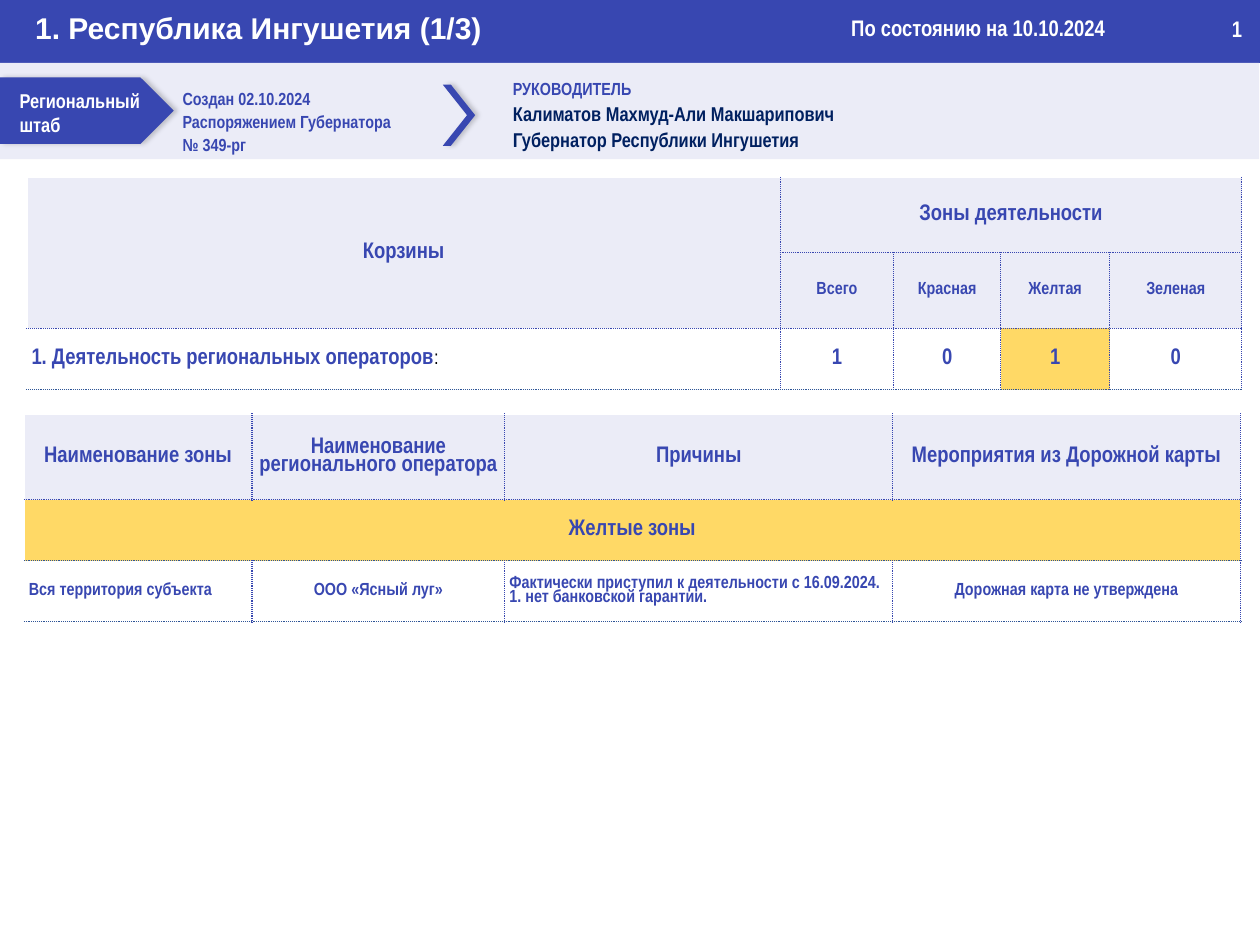
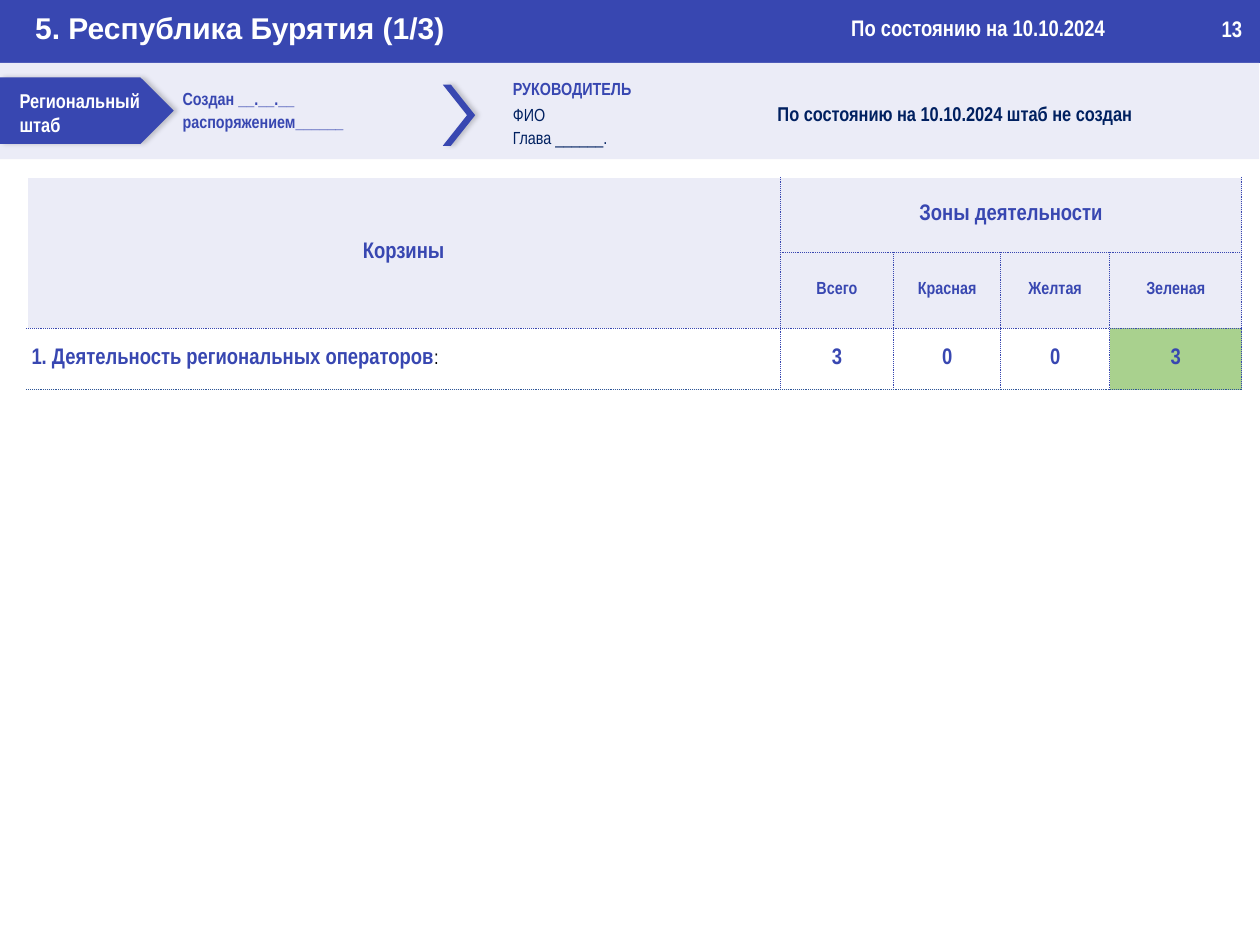
from dataclasses import dataclass

from lxml.etree import SubElement
from pptx import Presentation
from pptx.dml.color import RGBColor
from pptx.enum.shapes import MSO_SHAPE
from pptx.enum.text import MSO_ANCHOR, MSO_AUTO_SIZE, PP_ALIGN
from pptx.oxml.ns import qn
from pptx.util import Inches, Pt


@dataclass(frozen=True)
class Theme:
    main: str = "3847B1"
    pale: str = "EBECF7"
    navy: str = "002060"
    rule: str = "2F5597"
    white: str = "FFFFFF"
    black: str = "000000"
    yellow: str = "FFD966"
    green: str = "A9D18E"
    title_font: str = "Arial"
    font: str = "Arial Narrow"
    title: int = 24
    large: int = 18
    medium: int = 16
    small: int = 14
    line_spacing: float = 1.1
    cell_spacing: float = 0.85


T = Theme()


@dataclass
class Run:
    text: str
    size: int = T.small
    color: str = T.main
    bold: bool = True
    font: str = T.font


@dataclass
class Cell:
    paragraphs: list
    fill: str = T.white
    align: PP_ALIGN = PP_ALIGN.CENTER


def rgb(value):
    return RGBColor.from_string(value)


# Text

def write_text(tf, paragraphs, align=PP_ALIGN.LEFT, spacing=None, tab=None):
    """Fill a text frame; each paragraph is a list of runs."""
    for i, runs in enumerate(paragraphs):
        p = tf.add_paragraph() if i else tf.paragraphs[0]
        if tab:
            tabs = SubElement(p._p.get_or_add_pPr(), qn("a:tabLst"))
            SubElement(tabs, qn("a:tab"), pos=str(Inches(tab)), algn="l")
        p.alignment = align
        if spacing:
            p.line_spacing = spacing
        for item in runs:
            r = p.add_run()
            r.text = item.text
            r.font.name = item.font
            r.font.size = Pt(item.size)
            r.font.bold = item.bold
            r.font.color.rgb = rgb(item.color)


def add_text(slide, box, paragraphs, **style):
    sp = slide.shapes.add_textbox(*map(Inches, box))
    tf = sp.text_frame
    tf.word_wrap = True
    tf.auto_size = MSO_AUTO_SIZE.SHAPE_TO_FIT_TEXT
    write_text(tf, paragraphs, **style)


# Shapes

def add_block(slide, kind, box, fill, shadow=False):
    sp = slide.shapes.add_shape(kind, *map(Inches, box))
    sp.fill.solid()
    sp.fill.fore_color.rgb = rgb(fill)
    sp.line.fill.background()
    sp.shadow.inherit = False
    if shadow:
        effects = sp._element.spPr.find(qn("a:effectLst"))
        outer = SubElement(effects, qn("a:outerShdw"), blurRad=str(Pt(4)),
                           dist=str(Pt(3)), dir="0", rotWithShape="0")
        color = SubElement(outer, qn("a:srgbClr"), val=T.black)
        SubElement(color, qn("a:alpha"), val="20000")
    return sp


# Tables

def set_border(cell, side, color):
    ln = SubElement(cell._tc.get_or_add_tcPr(), qn(f"a:ln{side}"), w=str(Pt(1)))
    fill = SubElement(ln, qn("a:solidFill"))
    SubElement(fill, qn("a:srgbClr"), val=color)
    SubElement(ln, qn("a:prstDash"), val="sysDot")


def style_cell(cell, content, row, col, header_rows):
    if col:
        set_border(cell, "L", T.main)
    set_border(cell, "R", T.main)
    if row:
        set_border(cell, "T", T.main if row <= header_rows else T.rule)
    set_border(cell, "B", T.main if row < header_rows else T.rule)
    cell.fill.solid()
    cell.fill.fore_color.rgb = rgb(content.fill)
    cell.vertical_anchor = MSO_ANCHOR.MIDDLE
    cell.margin_left = cell.margin_right = Inches(0.05)
    cell.margin_top = cell.margin_bottom = Inches(0.02)
    write_text(cell.text_frame, content.paragraphs, content.align,
               T.cell_spacing)


def add_grid(slide, left, top, widths, heights, rows, merges, header_rows):
    """Add a dotted table; None marks a cell covered by a merge."""
    table = slide.shapes.add_table(
        len(heights), len(widths), Inches(left), Inches(top),
        Inches(sum(widths)), Inches(sum(heights))).table
    table.first_row = table.horz_banding = False
    for column, width in zip(table.columns, widths):
        column.width = Inches(width)
    for row, height in zip(table.rows, heights):
        row.height = Inches(height)
    for start, end in merges:
        table.cell(*start).merge(table.cell(*end))
    for i, contents in enumerate(rows):
        for j, content in enumerate(contents):
            if content:
                style_cell(table.cell(i, j), content, i, j, header_rows)


def label(text, size=T.small, fill=T.white, align=PP_ALIGN.CENTER):
    return Cell([[Run(line, size)] for line in text.split("\n")], fill, align)


def heading(text, size=T.large):
    return label(text, size, T.pale)


def add_zone_counts(slide, counts, fills):
    activity = Cell([[Run("1. Деятельность региональных операторов", T.large),
                      Run(":", T.medium, T.black, False)]],
                    align=PP_ALIGN.LEFT)
    zones = ["Всего", "Красная", "Желтая", "Зеленая"]
    rows = [
        [heading("Корзины"), heading("Зоны деятельности"), None, None, None],
        [None] + [heading(zone, T.small) for zone in zones],
        [activity] + [label(str(count), T.large, fills.get(zone, T.white))
                      for zone, count in zip(zones, counts)],
    ]
    add_grid(slide, 0.3, 1.97, [8.37, 1.26, 1.19, 1.21, 1.47],
             [0.84, 0.84, 0.68], rows,
             [((0, 0), (1, 0)), ((0, 1), (0, 4))], header_rows=2)


def add_zone_details(slide):
    names = ["Наименование зоны", "Наименование регионального оператора",
             "Причины", "Мероприятия из Дорожной карты"]
    rows = [
        [heading(name) for name in names],
        [label("Желтые зоны", T.large, T.yellow), None, None, None],
        [label("Вся территория субъекта", align=PP_ALIGN.LEFT),
         label("ООО «Ясный луг»"),
         label("Фактически приступил к деятельности с 16.09.2024.\n"
               "1. нет банковской гарантии.", align=PP_ALIGN.LEFT),
         label("Дорожная карта не утверждена")],
    ]
    add_grid(slide, 0.27, 4.6, [2.53, 2.81, 4.31, 3.86], [0.95, 0.68, 0.68],
             rows, [((1, 0), (1, 3))], header_rows=1)


# Shared slide parts

def add_region_slide(prs, title, number):
    slide = prs.slides.add_slide(prs.slide_layouts[5])
    bar = add_block(slide, MSO_SHAPE.RECTANGLE, (0, 0, 14, 0.7), T.main)
    slide.shapes._spTree.insert(2, bar._element)  # behind the title

    sp = slide.shapes.title
    sp.left, sp.top, sp.width, sp.height = map(Inches, (0, 0.06, 13.99, 0.5))
    tf = sp.text_frame
    tf.margin_left = Inches(0.39)
    tf.vertical_anchor = MSO_ANCHOR.MIDDLE
    tf.auto_size = MSO_AUTO_SIZE.NONE
    write_text(tf, [[Run(title, T.title, T.white, font=T.title_font)]])

    add_text(slide, (9.36, 0.11, 4.11, 0.4),
             [[Run("По состоянию на 10.10.2024", T.large, T.white)]])
    add_text(slide, (13.4, 0.12, 0.5, 0.4),
             [[Run(str(number), T.large, T.white)]], align=PP_ALIGN.RIGHT)
    return slide


def add_headquarters(slide, order, leader):
    """Band with the headquarters' founding order and its leader."""
    add_block(slide, MSO_SHAPE.RECTANGLE, (0, 0.7, 13.99, 1.07), T.pale)
    add_block(slide, MSO_SHAPE.PENTAGON, (0, 0.86, 1.93, 0.74), T.main, True)
    add_text(slide, (0.12, 0.93, 1.64, 0.64),
             [[Run("Региональный штаб", T.medium, T.white)]])
    add_text(slide, (1.93, 0.9, 2.83, 0.88), [[Run(line)] for line in order],
             spacing=T.line_spacing)
    chevron = add_block(slide, MSO_SHAPE.CHEVRON, (4.92, 0.94, 0.36, 0.68),
                        T.main, True)
    chevron.adjustments[0] = 0.75
    add_text(slide, (5.6, 0.79, 7.51, 0.95), [[Run("РУКОВОДИТЕЛЬ")]] + leader,
             spacing=T.line_spacing, tab=2.94)


def main():
    prs = Presentation()
    prs.slide_width, prs.slide_height = Inches(14), Inches(10.5)

    # Ingushetia
    slide = add_region_slide(prs, "1. Республика Ингушетия (1/3)", 1)
    add_headquarters(
        slide,
        ["Создан 02.10.2024", "Распоряжением Губернатора", "№ 349-рг"],
        [[Run("Калиматов Махмуд-Али Макшарипович", T.medium, T.navy)],
         [Run("Губернатор Республики Ингушетия", T.medium, T.navy)]])
    add_zone_details(slide)
    add_zone_counts(slide, [1, 0, 1, 0], {"Желтая": T.yellow})

    # Buryatia
    slide = add_region_slide(prs, "5. Республика Бурятия (1/3)", 13)
    add_headquarters(
        slide,
        ["Создан __.__.__", "распоряжением______"],
        [[Run("ФИО\t", color=T.navy, bold=False),
          Run("По состоянию на 10.10.2024 штаб не создан", T.medium, T.navy)],
         [Run("Глава ______.", color=T.navy, bold=False)]])
    add_zone_counts(slide, [3, 0, 0, 3], {"Зеленая": T.green})

    prs.save("out.pptx")


if __name__ == "__main__":
    main()
